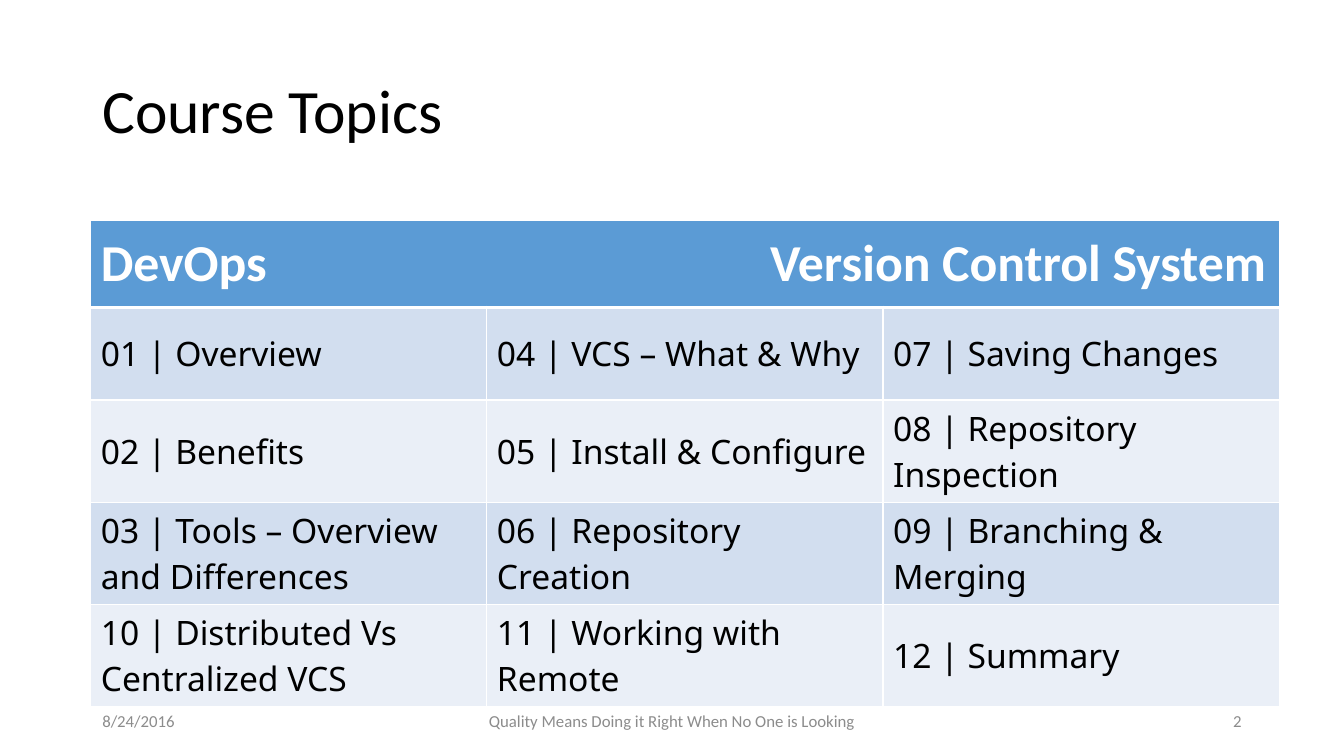
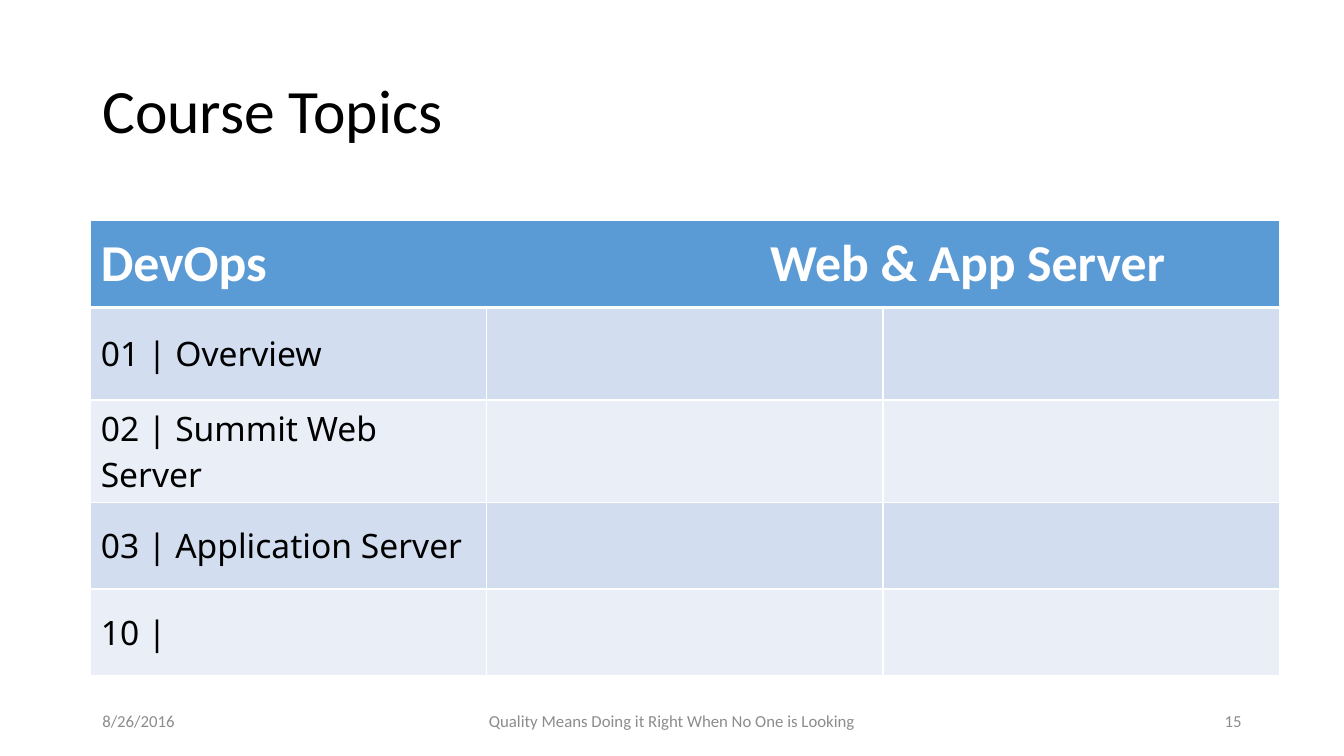
import pptx
import pptx.util
import pptx.dml.color
import pptx.enum.text
import pptx.oxml
import lxml.etree

Pt = pptx.util.Pt
ALIGN = pptx.enum.text.PP_ALIGN
MIDDLE = pptx.enum.text.MSO_ANCHOR.MIDDLE
NS = "http://schemas.openxmlformats.org/drawingml/2006/main"

# Shared look
COLORS = {
    "title": "000000", "foot": "8C8C8C", "head": "5B9BD5", "rule": "FFFFFF",
    "light": "FFFFFF", "dark": "000000", "odd": "D2DEEF", "even": "EAEFF7",
}
SANS, BODY = "Calibri", "Noto Sans"
MOTTO = "Quality Means Doing it Right When No One is Looking"
COL = 283
HEAD, FIRST, ONE, TWO = 62, 66, 62, 73  # row heights; TWO holds two lines
HEAD_TAB = 478


def color(name):
    return pptx.dml.color.RGBColor.from_string(COLORS[name])


def add_run(para, text, size, tint, font=SANS, bold=False):
    run = para.add_run()
    run.text = text
    run.font.size = Pt(size)
    run.font.name = font
    run.font.bold = bold
    run.font.color.rgb = color(tint)


def add_text(slide, box, text, size, tint, align=ALIGN.LEFT, space=1.0):
    frame = slide.shapes.add_textbox(*map(Pt, box)).text_frame
    frame.word_wrap = True
    frame.vertical_anchor = MIDDLE
    para = frame.paragraphs[0]
    para.alignment = align
    para.line_spacing = space
    add_run(para, text, size, tint)


def add_frame(slide, title, date, number):
    """Title and footer line."""
    add_text(slide, (66, 28.75, 828, 104.4), title, 44, "title", space=0.9)
    feet = [
        (66, 216, date, ALIGN.LEFT),
        (318, 324, MOTTO, ALIGN.CENTER),
        (678, 216, number, ALIGN.RIGHT),
    ]
    for left, width, text, align in feet:
        add_text(slide, (left, 500.5, width, 28.75), text, 12, "foot", align)


def set_edges(cell, top, base):
    props = cell._tc.get_or_add_tcPr()
    for side, width in (("L", 1), ("R", 1), ("T", top), ("B", base)):
        props.append(pptx.oxml.parse_xml(
            f'<a:ln{side} xmlns:a="{NS}" w="{Pt(width)}"><a:solidFill>'
            f'<a:srgbClr val="{COLORS["rule"]}"/></a:solidFill></a:ln{side}>'))


def set_tab(para, pos):
    props = para._p.get_or_add_pPr()
    tabs = lxml.etree.SubElement(props, f"{{{NS}}}tabLst")
    lxml.etree.SubElement(tabs, f"{{{NS}}}tab", pos=str(Pt(pos)), algn="l")


def add_topics(slide, theme, topics):
    """Table with one merged heading row over banded topic rows."""
    rows = [HEAD] + [height for height, _ in topics]
    shape = slide.shapes.add_table(
        len(rows), 3, Pt(64.8), Pt(157.7), Pt(3 * COL), Pt(sum(rows)))
    table = shape.table
    for col in table.columns:
        col.width = Pt(COL)
    for row, height in zip(table.rows, rows):
        row.height = Pt(height)

    # Borders and bands; a thick rule lies below the heading
    for i, row in enumerate(table.rows):
        band = "head" if i == 0 else "odd" if i % 2 else "even"
        for cell in row.cells:
            set_edges(cell, 3 if i == 1 else 1, 3 if i == 0 else 1)
            cell.fill.solid()
            cell.fill.fore_color.rgb = color(band)
            cell.vertical_anchor = MIDDLE

    # Heading
    head = table.cell(0, 0)
    head.merge(table.cell(0, 2))
    para = head.text_frame.paragraphs[0]
    set_tab(para, HEAD_TAB)
    add_run(para, "DevOps", 37, "light", bold=True)
    add_run(para, "\t" + theme, 37, "light", bold=True)

    # Topics
    for i, (_, line) in enumerate(topics, 1):
        for j, text in enumerate(line):
            para = table.cell(i, j).text_frame.paragraphs[0]
            add_run(para, text, 24, "dark", BODY)


DECK = [
    ("8/24/2016", "2", "Version Control System", [
        (FIRST, ["01 | Overview", "04 | VCS – What & Why",
                 "07 | Saving Changes"]),
        (TWO, ["02 | Benefits", "05 | Install & Configure",
               "08 | Repository Inspection"]),
        (TWO, ["03 | Tools – Overview and Differences",
               "06 | Repository Creation", "09 | Branching & Merging"]),
        (TWO, ["10 | Distributed Vs Centralized VCS",
               "11 | Working with Remote", "12 | Summary"]),
    ]),
    ("8/26/2016", "15", "Web & App Server", [
        (FIRST, ["01 | Overview"]),
        (TWO, ["02 | Summit Web Server"]),
        (ONE, ["03 | Application Server"]),
        (ONE, ["10 |"]),
    ]),
]


def main():
    deck = pptx.Presentation()
    deck.slide_width, deck.slide_height = Pt(960), Pt(540)
    for date, number, theme, topics in DECK:
        slide = deck.slides.add_slide(deck.slide_layouts[6])
        add_frame(slide, "Course Topics", date, number)
        add_topics(slide, theme, topics)
    deck.save("out.pptx")


main()
